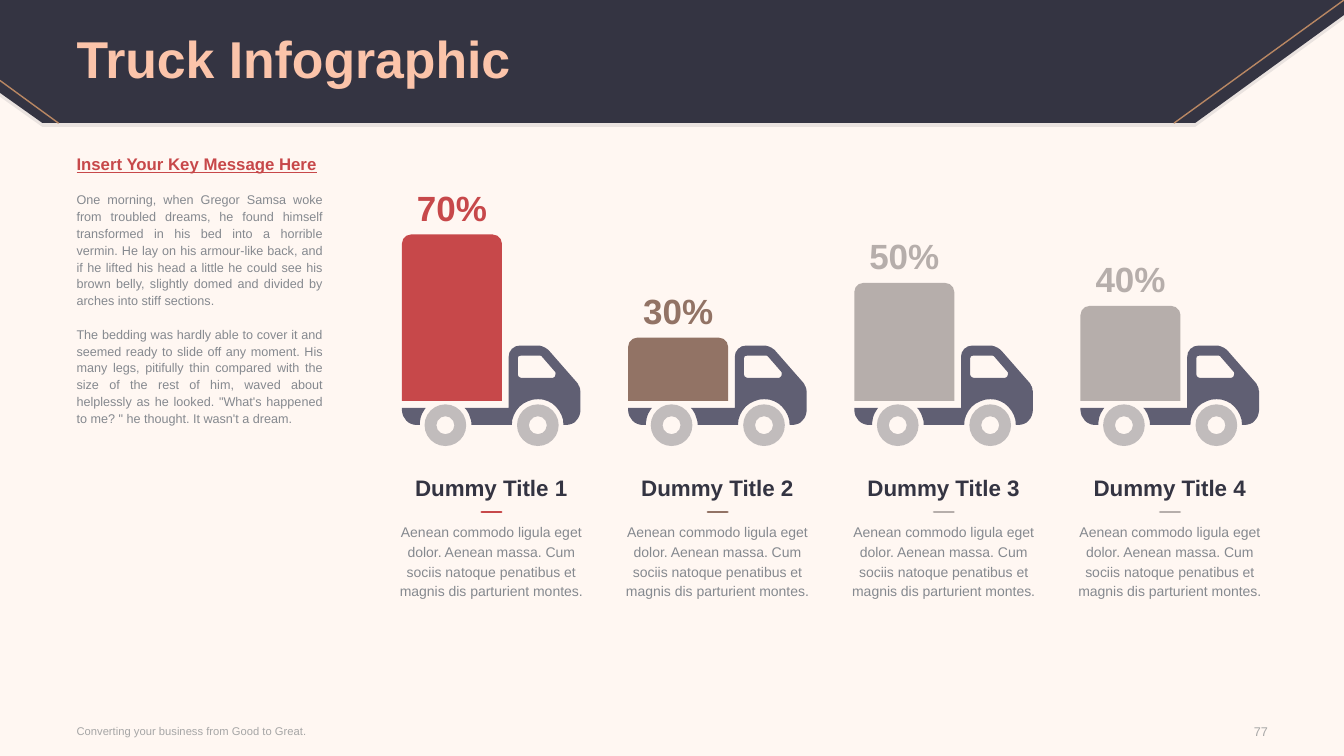
from dataclasses import dataclass

from lxml import etree
from pptx import Presentation
from pptx.dml.color import RGBColor
from pptx.enum.shapes import MSO_CONNECTOR, MSO_SHAPE
from pptx.enum.text import MSO_ANCHOR, PP_ALIGN
from pptx.oxml.ns import qn
from pptx.util import Cm, Pt

LEFT, CENTER, RIGHT, JUSTIFY = PP_ALIGN.LEFT, PP_ALIGN.CENTER, PP_ALIGN.RIGHT, PP_ALIGN.JUSTIFY
TOP, MIDDLE = MSO_ANCHOR.TOP, MSO_ANCHOR.MIDDLE
ROUND_TOP, DONUT = MSO_SHAPE.ROUND_2_SAME_RECTANGLE, MSO_SHAPE.DONUT
STRAIGHT = MSO_CONNECTOR.STRAIGHT


@dataclass
class Theme:
    font = "Arial"
    paper = "FFF7F2"
    dark = "343442"
    peach = "FBC4AA"
    bronze = "B98763"
    red = "C7484A"
    brown = "927365"
    taupe = "B6AEAB"
    cab = "605F73"
    text = "85898F"
    footer = "A6A6A6"
    title_size = 37
    percent_size = 25
    label_size = 16
    key_size = 12
    caption_size = 10
    body_size = 9
    footer_size = 8


theme = Theme()


def flatten(outline):
    points = [outline[0]]
    for step in outline[1:]:
        if len(step) == 2:
            points.append(step)
            continue
        x0, y0 = points[-1]
        x1, y1, x2, y2, x3, y3 = step
        for i in range(1, 9):
            t = i / 8
            u = 1 - t
            a, b, c, d = u ** 3, 3 * u * u * t, 3 * u * t * t, t ** 3
            points.append((a * x0 + b * x1 + c * x2 + d * x3, a * y0 + b * y1 + c * y2 + d * y3))
    return [(x * 100, y * 100) for x, y in points]


def add_text(box, paragraphs, size, color, align=LEFT, anchor=TOP, bold=False, spacing=None):
    tf = s.shapes.add_textbox(*[Cm(v) for v in box]).text_frame
    tf.word_wrap = True
    tf.vertical_anchor = anchor
    tf.margin_left = tf.margin_top = tf.margin_right = tf.margin_bottom = 0
    for i, text in enumerate(paragraphs):
        p = tf.add_paragraph() if i else tf.paragraphs[0]
        p.text = text
        p.alignment = align
        p.line_spacing = spacing
        p.font.name = theme.font
        p.font.size = Pt(size)
        p.font.bold = bold
        p.font.color.rgb = RGBColor.from_string(color)
    return tf


prs = Presentation()
prs.slide_width, prs.slide_height = Cm(33.87), Cm(19.05)
s = prs.slides.add_slide(prs.slide_layouts[6])
s.background.fill.solid()
s.background.fill.fore_color.rgb = RGBColor.from_string(theme.paper)

banner = [[(30.12, 3.1), (1.07, 3.1), (0, 2.34), (0, 0), (33.87, 0), (33.87, 0.38)]]
chassis = [[(0, 1.57), (0, 1.63), (0, 1.83, 0.18, 2, 0.36, 2), (0.45, 2),
            (0.45, 1.83, 0.51, 1.68, 0.6, 1.57)]]
cab = [
    [(1.58, 1.57), (1.68, 1.68, 1.75, 1.83, 1.75, 2), (2.77, 2),
     (2.77, 1.65, 3.07, 1.35, 3.43, 1.35), (3.78, 1.35, 4.07, 1.65, 4.07, 2), (4.14, 2),
     (4.34, 2, 4.5, 1.83, 4.5, 1.63), (4.5, 1.19), (4.5, 1.09, 4.47, 1.02, 4.42, 0.94),
     (3.71, 0.13), (3.63, 0.05, 3.53, 0, 3.43, 0), (2.97, 0),
     (2.82, 0, 2.69, 0.13, 2.69, 0.28), (2.69, 1.57)],
    [(2.92, 0.33), (2.92, 0.28, 2.95, 0.25, 3.02, 0.25), (3.45, 0.25),
     (3.48, 0.25, 3.5, 0.25, 3.53, 0.28), (3.86, 0.66), (3.88, 0.69, 3.88, 0.71, 3.86, 0.76),
     (3.86, 0.79, 3.81, 0.81, 3.78, 0.81), (3.02, 0.81),
     (2.95, 0.81, 2.92, 0.76, 2.92, 0.71)],
]
trucks = [
    ("70%", 4.19, theme.red),
    ("30%", 1.59, theme.brown),
    ("50%", 2.97, theme.taupe),
    ("40%", 2.39, theme.taupe),
]
first_left, pitch = 10.13, 5.7
cab_top, cargo_bottom, cargo_width, corner = 8.71, 10.1, 2.52, 0.23
wheel_top, wheel_size = 10.19, 1.05
caption = ("Aenean commodo ligula eget dolor. Aenean massa. Cum sociis natoque "
           "penatibus et magnis dis parturient montes.")

outlines = [(banner, 0, 0.1, theme.dark, 10), (banner, 0, 0, theme.dark, 100)]
presets = []
lines = [(33.87, 0, 29.59, 3.1, theme.bronze, 1), (0, 2.03, 1.47, 3.1, theme.bronze, 1)]
for i, (percent, height, color) in enumerate(trucks):
    left = first_left + i * pitch
    top = cargo_bottom - height
    outlines += [(part, left, cab_top, theme.cab, 100) for part in (chassis, cab)]
    presets.append((ROUND_TOP, left, top, cargo_width, height,
                    corner / min(cargo_width, height), color, 100))
    presets += [(DONUT, left + dx, wheel_top, wheel_size, wheel_size, 0.285, theme.dark, 30)
                for dx in (0.57, 2.9)]
    lines.append((left + 2.01, 12.9, left + 2.5, 12.9, color, 2))
    add_text((left + 0.09, top - 1.21, 2.34, 1.07), [percent], theme.percent_size, color,
             CENTER, bold=True)
    add_text((left - 0.2, 11.94, 4.9, 0.69), [f"Dummy Title {i + 1}"], theme.label_size,
             theme.dark, CENTER, bold=True)
    add_text((left - 0.2, 13.13, 4.9, 2.01), [caption], theme.caption_size, theme.text,
             CENTER, spacing=Pt(14))

painted = []
for contours, left, top, color, opacity in outlines:
    builder = None
    for contour in contours:
        points = flatten(contour)
        if builder is None:
            builder = s.shapes.build_freeform(*points[0], scale=Cm(0.01))
        else:
            builder.move_to(*points[0])
        builder.add_line_segments(points[1:], close=True)
    painted.append((builder.convert_to_shape(Cm(left), Cm(top)), color, opacity))
for kind, left, top, width, height, adjust, color, opacity in presets:
    sp = s.shapes.add_shape(kind, Cm(left), Cm(top), Cm(width), Cm(height))
    sp.adjustments[0] = adjust
    painted.append((sp, color, opacity))

for sp, color, opacity in painted:
    sp.shadow.inherit = False
    sp.fill.solid()
    sp.fill.fore_color.rgb = RGBColor.from_string(color)
    sp.line.fill.background()
    if opacity < 100:
        rgb = sp._element.spPr.find(qn("a:solidFill"))[0]
        etree.SubElement(rgb, qn("a:alpha")).set("val", str(opacity * 1000))

for x1, y1, x2, y2, color, width in lines:
    line = s.shapes.add_connector(STRAIGHT, Cm(x1), Cm(y1), Cm(x2), Cm(y2))
    line.line.color.rgb = RGBColor.from_string(color)
    line.line.width = Pt(width)
    spPr = line._element.spPr
    spPr.find(qn("a:ln")).set("cap", "rnd")
    etree.SubElement(spPr, qn("a:effectLst"))

add_text((1.93, 0.08, 30, 2.97), ["Truck Infographic"], theme.title_size, theme.peach,
         anchor=MIDDLE, bold=True, spacing=0.9)
message = add_text((1.93, 3.96, 6.2, 13.18), [
    "Insert Your Key Message Here",
    "One morning, when Gregor Samsa woke from troubled dreams, he found himself transformed "
    "in his bed into a horrible vermin. He lay on his armour-like back, and if he lifted his "
    "head a little he could see his brown belly, slightly domed and divided by arches into "
    "stiff sections.",
    "The bedding was hardly able to cover it and seemed ready to slide off any moment. His "
    "many legs, pitifully thin compared with the size of the rest of him, waved about "
    "helplessly as he looked. \"What's happened to me? \" he thought. It wasn't a dream.",
], theme.body_size, theme.text, JUSTIFY, spacing=Pt(12))
key, *story = message.paragraphs
key.font.size = Pt(theme.key_size)
key.font.bold = key.font.underline = True
key.font.color.rgb = RGBColor.from_string(theme.red)
for p in story:
    p.space_before = Pt(12)
add_text((1.93, 18.08, 13.28, 0.66), ["Converting your business from Good to Great."],
         theme.footer_size, theme.footer, anchor=MIDDLE)
add_text((30.35, 18.11, 1.6, 0.66), ["77"], theme.body_size, theme.footer, RIGHT, MIDDLE)

prs.save("out.pptx")
